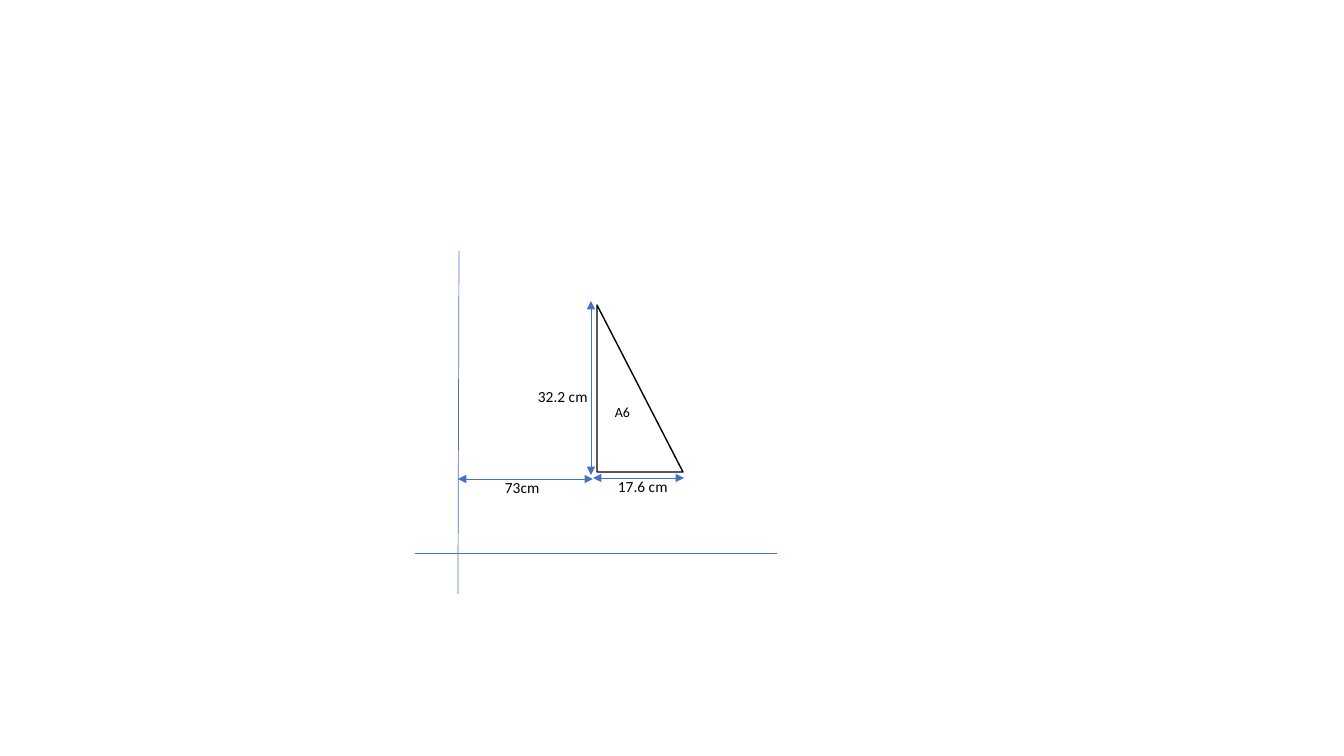
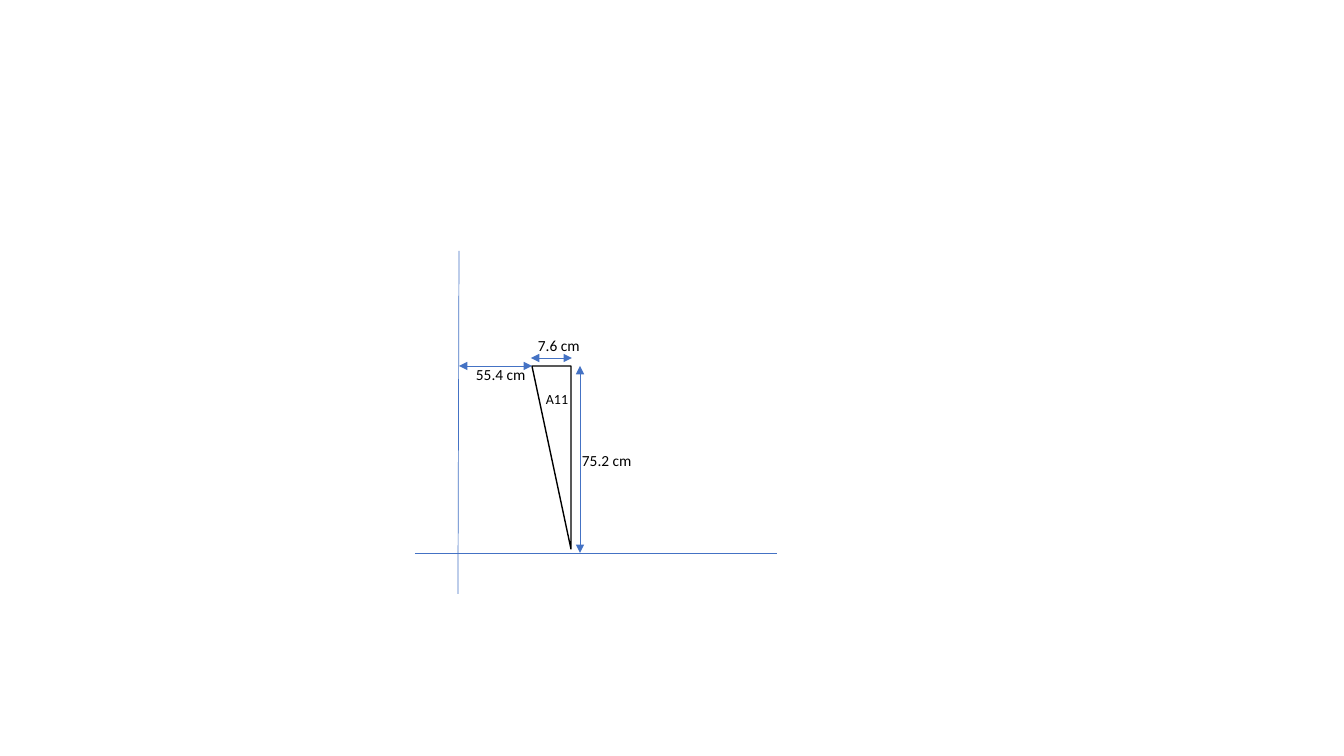
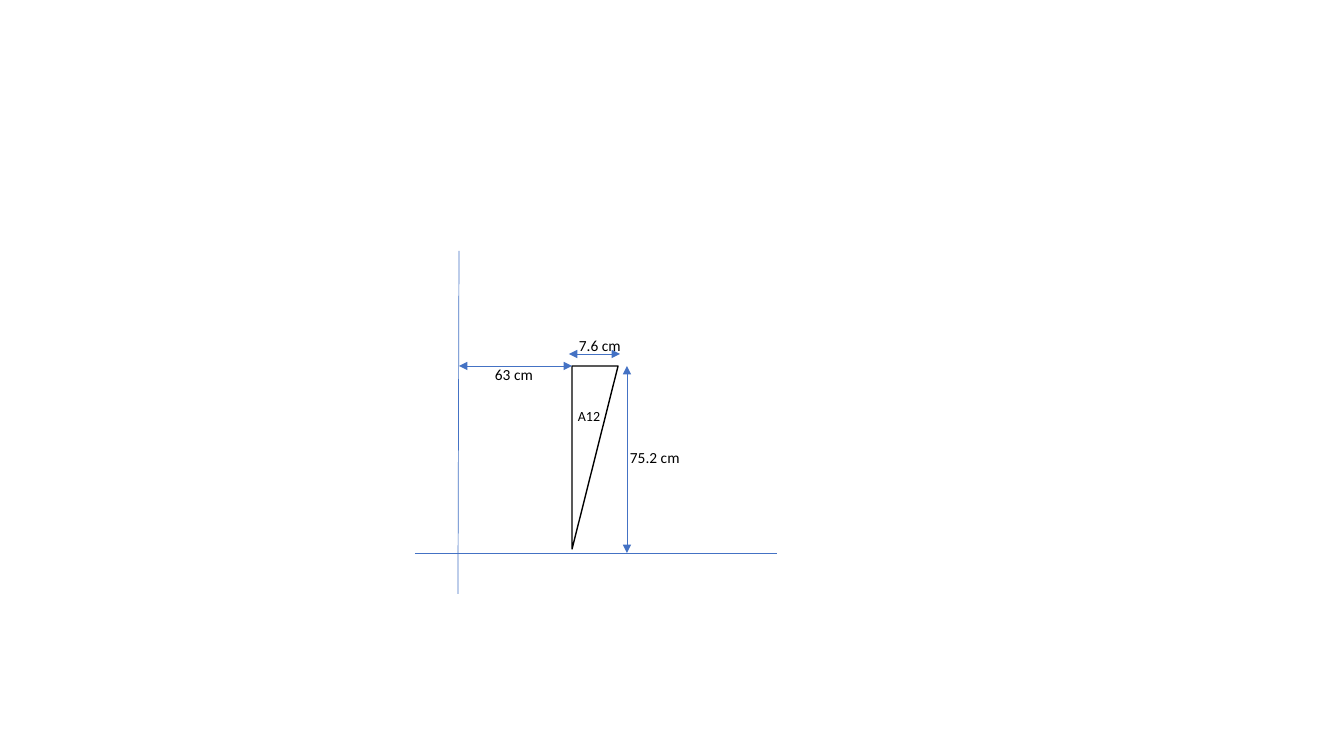
from lxml import etree
from pptx import Presentation
from pptx.dml.color import RGBColor
from pptx.enum.shapes import MSO_CONNECTOR, MSO_SHAPE
from pptx.enum.text import MSO_AUTO_SIZE
from pptx.oxml.ns import qn
from pptx.util import Pt

STRAIGHT = MSO_CONNECTOR.STRAIGHT
RIGHT_TRIANGLE = MSO_SHAPE.RIGHT_TRIANGLE
FIT_SHAPE = MSO_AUTO_SIZE.SHAPE_TO_FIT_TEXT

# Shared look
PX = 914400 / 100.8
SLIDE_SIZE = (1344, 756)
BLUE, BLACK, WHITE = "4472C4", "000000", "FFFFFF"
FONT = "Calibri"
BLANK_LAYOUT = 6
NAME_BOX = (49, 27)
LENGTH_HEIGHT = 29

# Lines are x1, y1, x2, y2; boxes are left, top, width, height
AXES = [(459, 251, 458, 594), (415, 553, 777, 553)]

# Each length: label, left and top of the label, arrow
AREAS = [
    {"name": "A6", "name_at": (605, 399), "label_width": 74,
     "triangle": (597, 305, 86, 167), "rotation": 0, "mirrored": False,
     "lengths": [("17.6 cm", (608, 472), (593, 478, 684, 478)),
                 ("73cm", (495, 473), (458, 479, 593, 479)),
                 ("32.2 cm", (528, 382), (591, 301, 591, 475))]},
    {"name": "A11", "name_at": (536, 386), "label_width": 86,
     "triangle": (532, 366, 39, 183), "rotation": 180, "mirrored": False,
     "lengths": [("75.2 cm", (572, 446), (580, 366, 580, 553)),
                 ("7.6 cm", (528, 331), (531, 358, 572, 358)),
                 ("55.4 cm", (466, 360), (459, 366, 532, 366))]},
    {"name": "A12", "name_at": (568, 403), "label_width": 86,
     "triangle": (572, 366, 46, 183), "rotation": 180, "mirrored": True,
     "lengths": [("63 cm", (485, 360), (459, 366, 572, 366)),
                 ("7.6 cm", (569, 331), (569, 354, 620, 354)),
                 ("75.2 cm", (620, 443), (627, 366, 627, 553))]},
]


def emu(lengths):
    return [round(length * PX) for length in lengths]


def rgb(value):
    return RGBColor.from_string(value)


def add_line(shapes, ends, arrows=False):
    connector = shapes.add_connector(STRAIGHT, *emu(ends))
    connector.line.color.rgb = rgb(BLUE)
    connector.line.width = Pt(0.5)
    properties = connector._element.spPr
    if arrows:
        outline = properties.find(qn("a:ln"))
        for end in ("a:headEnd", "a:tailEnd"):
            etree.SubElement(outline, qn(end), type="triangle")
    etree.SubElement(properties, qn("a:effectLst"))


def add_triangle(shapes, box, rotation, mirrored):
    triangle = shapes.add_shape(RIGHT_TRIANGLE, *emu(box))
    triangle.shadow.inherit = False
    triangle.fill.solid()
    triangle.fill.fore_color.rgb = rgb(WHITE)
    triangle.line.color.rgb = rgb(BLACK)
    triangle.line.width = Pt(1)
    triangle.rotation = rotation
    if mirrored:
        triangle._element.spPr.find(qn("a:xfrm")).set("flipH", "1")


def add_text(shapes, text, box, size=11, color=BLACK):
    frame = shapes.add_textbox(*emu(box)).text_frame
    frame.word_wrap = True
    frame.auto_size = FIT_SHAPE
    run = frame.paragraphs[0].add_run()
    run.text = text
    run.font.name = FONT
    run.font.size = Pt(size)
    run.font.color.rgb = rgb(color)


def add_area(deck, area):
    shapes = deck.slides.add_slide(deck.slide_layouts[BLANK_LAYOUT]).shapes
    # Coordinate axes
    axes = shapes.add_group_shape()
    for axis in AXES:
        add_line(axis and axes.shapes, axis)
    # Area and its measured lengths
    add_triangle(shapes, area["triangle"], area["rotation"], area["mirrored"])
    for label, corner, arrow in area["lengths"]:
        add_line(shapes, arrow, arrows=True)
        add_text(shapes, label, (*corner, area["label_width"], LENGTH_HEIGHT))
    add_text(shapes, area["name"], (*area["name_at"], *NAME_BOX), size=10)


def main():
    deck = Presentation()
    deck.slide_width, deck.slide_height = emu(SLIDE_SIZE)
    for area in AREAS:
        add_area(deck, area)
    deck.save("out.pptx")


if __name__ == "__main__":
    main()
